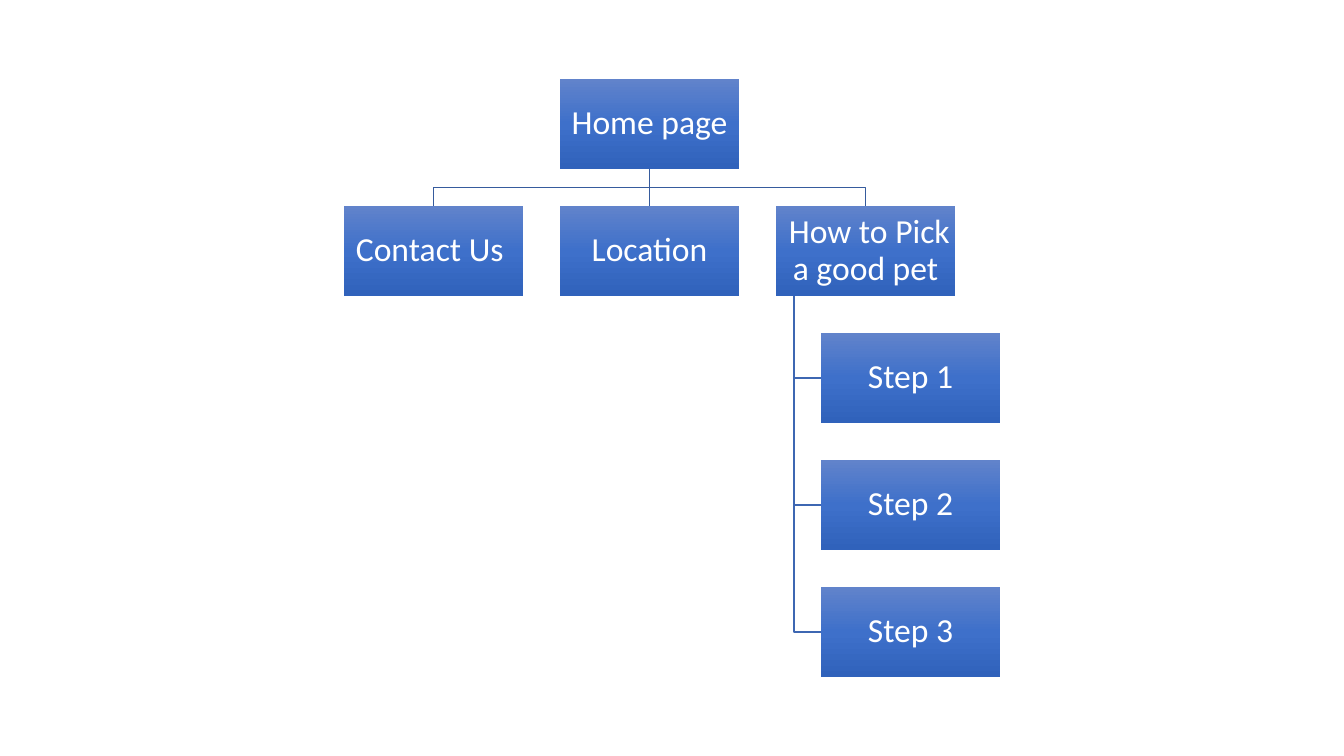
from copy import deepcopy
from lxml import etree
from pptx import Presentation
from pptx import util as u
from pptx.dml.color import RGBColor
from pptx.enum import shapes, text
from pptx.oxml.ns import qn

SCALE = 12192000 / 1344
HEX = {"top": "6183CB", "mid": "3E70CA", "low": "3062BB",
       "branch": "365B9D", "twig": "3E67B2", "text": "FFFFFF"}
WIDE, HIGH = 179, 90
GAP = 37
DROP = HIGH + GAP
FRAME = {"word_wrap": True, "vertical_anchor": text.MSO_ANCHOR.MIDDLE,
         **dict.fromkeys(("margin_left", "margin_right", "margin_top",
                          "margin_bottom"), u.Inches(0.02))}
PARA = {"alignment": text.PP_ALIGN.CENTER, "line_spacing": 0.9}
FONT = {"name": "Calibri", "size": u.Pt(24)}


def px(n):
    return u.Emu(round(n * SCALE))


def tint(name):
    return RGBColor.from_string(HEX[name])


def style(item, values):
    for key, value in values.items():
        setattr(item, key, value)


def shade(fill):
    fill.gradient()
    fill.gradient_angle = 270


def node(slide, label, left, top):
    box = slide.shapes.add_shape(shapes.MSO_SHAPE.RECTANGLE,
                                 *map(px, (left, top, WIDE, HIGH)))
    box.shadow.inherit = False
    box.line.fill.background()
    shade(box.fill)
    stops = box._element.xpath(".//a:gsLst")[0]
    stops.append(deepcopy(stops[0]))
    for stop, spot, name in zip(box.fill.gradient_stops, (0, 0.5, 1),
                                ("top", "mid", "low")):
        stop.position = spot
        stop.color.rgb = tint(name)
    frame = box.text_frame
    style(frame, FRAME)
    para = frame.paragraphs[0]
    style(para, PARA)
    run = para.add_run()
    run.text = label
    style(run.font, FONT)
    run.font.color.rgb = tint("text")


def link(slide, points, name):
    spots = [(px(x), px(y)) for x, y in points]
    if len(spots) == 2:
        line = slide.shapes.add_connector(shapes.MSO_CONNECTOR.STRAIGHT,
                                          *spots[0], *spots[1])
        etree.SubElement(line._element.spPr, qn("a:effectLst"))
    else:
        pen = slide.shapes.build_freeform(*spots[0])
        pen.add_line_segments(spots[1:], close=False)
        line = pen.convert_to_shape()
        line.fill.background()
        line.shadow.inherit = False
    line.line.color.rgb = tint(name)
    line.line.width = u.Pt(1)


def pages(slide, left, top, width, root, names):
    step = (width - WIDE) / (len(names) - 1)
    mid = left + width / 2
    row = top + DROP
    bend = row - GAP / 2
    lefts = [left + i * step for i in range(len(names))]
    for x in reversed(lefts):
        end = x + WIDE / 2
        turn = [] if end == mid else [(mid, bend), (end, bend)]
        link(slide, [(mid, top + HIGH), *turn, (end, row)], "branch")
    node(slide, root, mid - WIDE / 2, top)
    for name, x in zip(names, lefts):
        node(slide, name, x, row)


def steps(slide, left, top, indent, names):
    tops = [top + GAP + i * DROP for i in range(len(names))]
    for y in reversed(tops):
        mid = y + HIGH / 2
        link(slide, [(left, top), (left, mid), (left + indent, mid)], "twig")
    for name, y in zip(names, tops):
        node(slide, name, left + indent, y)


deck = Presentation()
style(deck, {"slide_width": px(1344), "slide_height": px(756)})
slide = deck.slides.add_slide(deck.slide_layouts[6])
steps(slide, 794, 296, 27, ["Step 1", "Step 2", "Step 3"])
pages(slide, 344, 79, 611, "Home page",
      ["Contact Us ", "Location", " How to Pick a good pet"])
deck.save("out.pptx")
